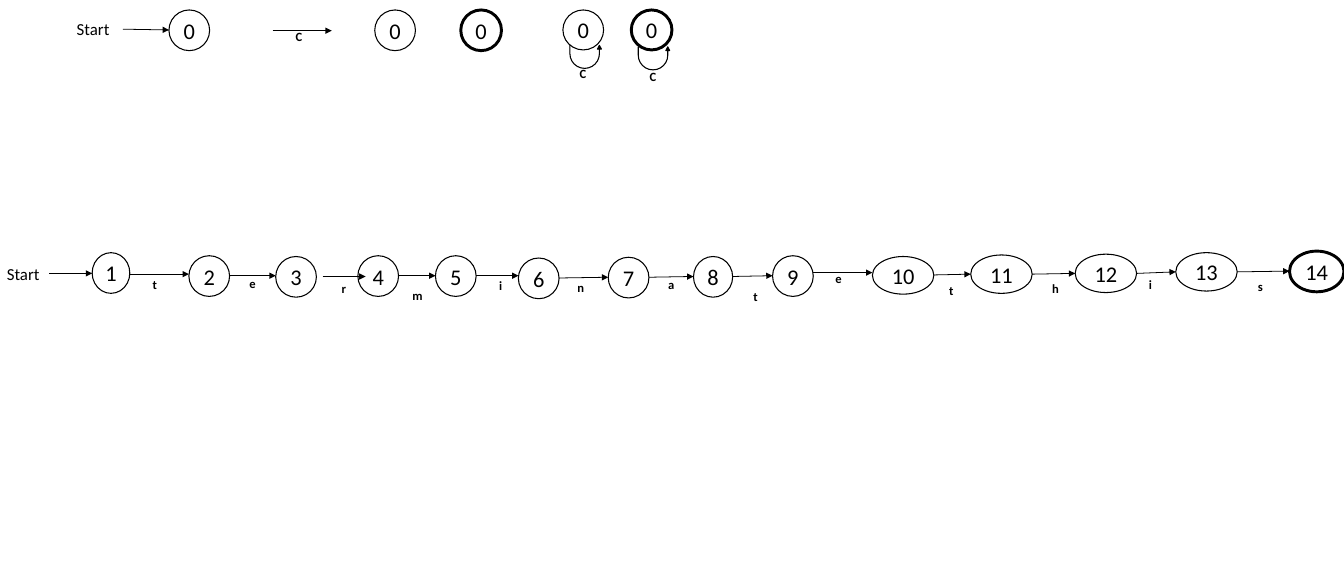
from lxml.etree import SubElement
from pptx import Presentation
from pptx.dml.color import RGBColor
from pptx.enum.shapes import MSO_CONNECTOR as Connector, MSO_SHAPE as Shape
from pptx.enum.text import MSO_ANCHOR as Anchor, PP_ALIGN as Align
from pptx.oxml.ns import qn
from pptx.util import Inches, Pt

COLUMNS, ROWS = 17.5, 7.5
START_ROW = 3.56

# name, left, top, width, height
STATES = [
    ("1", 1.2, 3.29, 0.49, 0.53),
    ("2", 2.46, 3.33, 0.53, 0.53),
    ("3", 3.59, 3.34, 0.53, 0.53),
    ("4", 4.66, 3.33, 0.53, 0.53),
    ("5", 5.67, 3.33, 0.53, 0.53),
    ("6", 6.75, 3.36, 0.53, 0.53),
    ("7", 7.92, 3.35, 0.53, 0.53),
    ("8", 9.03, 3.34, 0.51, 0.53),
    ("9", 10.06, 3.33, 0.53, 0.53),
    ("10", 11.36, 3.34, 0.8, 0.49),
    ("11", 12.64, 3.32, 0.8, 0.5),
    ("12", 14, 3.31, 0.8, 0.5),
    ("13", 15.31, 3.29, 0.8, 0.5),
    ("14", 16.79, 3.27, 0.71, 0.53),
]

# letter, label left, label top, row where the arrow begins, row where it ends
TRANSITIONS = [
    ("t", 1.89, 3.56, 3.57, 3.57),
    ("e", 3.15, 3.54, 3.59, 3.59),
    ("r", 4.35, 3.61, 3.6, 3.6),
    ("m", 5.27, 3.7, 3.59, 3.59),
    ("i", 6.4, 3.57, 3.59, 3.59),
    ("n", 7.42, 3.59, 3.62, 3.61),
    ("a", 8.6, 3.56, 3.61, 3.6),
    ("t", 9.71, 3.71, 3.6, 3.59),
    ("e", 10.78, 3.48, 3.55, 3.55),
    ("t", 12.26, 3.64, 3.58, 3.57),
    ("h", 13.6, 3.61, 3.57, 3.56),
    ("i", 14.86, 3.56, 3.56, 3.54),
    ("s", 16.28, 3.58, 3.54, 3.53),
]
# The arrow into state 4 is shifted to the right
SHIFTED_ARROWS = {"r": (4.2, 4.76)}


def color(hex_value):
    return RGBColor.from_string(hex_value)


class AutomatonSlide:
    """Draws states and transitions on a grid of columns and rows."""

    INK = "000000"
    FONT = "Calibri"
    STATE_TEXT = {"size": Pt(21), "bold": False}
    START_TEXT = {"size": Pt(15.8), "bold": False}
    LETTER_TEXT = {"size": Pt(11.8), "bold": True}
    NO_MARGINS = dict.fromkeys(
        ("margin_left", "margin_right", "margin_top", "margin_bottom"), 0)

    def __init__(self, presentation):
        self.column = presentation.slide_width / COLUMNS
        self.row = presentation.slide_height / ROWS
        self.slide = presentation.slides.add_slide(presentation.slide_layouts[6])
        self.shapes = self.slide.shapes

    def place(self, across, down):
        return round(across * self.column), round(down * self.row)

    def add_text(self, shape, text, text_format, align=Align.LEFT, **frame_format):
        frame = shape.text_frame
        for name, value in {"word_wrap": True, **frame_format}.items():
            setattr(frame, name, value)
        paragraph = frame.paragraphs[0]
        paragraph.alignment = align
        run = paragraph.add_run()
        run.text = text
        for name, value in {"name": self.FONT, **text_format}.items():
            setattr(run.font, name, value)
        run.font.color.rgb = color(self.INK)

    def outline(self, shape, weight):
        shape.line.color.rgb = color(self.INK)
        shape.line.width = Pt(weight)

    def state(self, name, left, top, width=0.53, height=0.53, final=False):
        circle = self.shapes.add_shape(
            Shape.OVAL, *self.place(left, top), *self.place(width, height))
        circle.shadow.inherit = False
        circle.fill.background()
        self.outline(circle, 2.75 if final else 1)
        self.add_text(circle, name, self.STATE_TEXT, Align.CENTER,
                      vertical_anchor=Anchor.MIDDLE, **self.NO_MARGINS)

    def label(self, text, left, top, width, height, text_format):
        box = self.shapes.add_textbox(
            *self.place(left, top), *self.place(width, height))
        self.add_text(box, text, text_format)

    def letter(self, text, left, top):
        self.label(text, left, top, 0.22, 0.3, self.LETTER_TEXT)

    def start(self, left, top, width):
        self.label("Start", left, top, width, 0.37, self.START_TEXT)

    def arrow(self, begin, end):
        line = self.shapes.add_connector(
            Connector.STRAIGHT, *self.place(*begin), *self.place(*end))
        self.outline(line, 0.75)
        properties = line._element.spPr
        SubElement(properties.find(qn("a:ln")), qn("a:tailEnd"), type="triangle")
        SubElement(properties, qn("a:effectLst"))

    def loop(self, left, top):
        loop = self.shapes.add_shape(
            Shape.U_TURN_ARROW, *self.place(left, top), *self.place(0.41, 0.3))
        loop.shadow.inherit = False
        for index, value in enumerate((0, 0.085, 0.164, 0.717, 1)):
            loop.adjustments[index] = value
        loop.rotation = 180
        loop._element.spPr.find(qn("a:xfrm")).set("flipH", "1")
        loop.fill.solid()
        loop.fill.fore_color.rgb = color(self.INK)
        self.outline(loop, 1)


def draw_legend(automaton):
    automaton.start(0.9, 0.2, 0.7)
    automaton.arrow((1.6, 0.38), (2.2, 0.39))
    automaton.state("0", 2.2, 0.13)
    automaton.arrow((3.55, 0.4), (4.32, 0.4))
    automaton.letter("C", 3.75, 0.33)
    automaton.state("0", 4.88, 0.13)
    automaton.state("0", 6, 0.13, final=True)
    for left, loop_top, letter_left, letter_top, final in (
            (7.33, 0.59, 7.45, 0.81, False), (8.22, 0.61, 8.36, 0.85, True)):
        automaton.state("0", left, 0.13, height=0.52, final=final)
        automaton.loop(left + 0.09, loop_top)
        automaton.letter("C", letter_left, letter_top)


def draw_word(automaton):
    automaton.start(-0.01, 3.38, 0.66)
    automaton.arrow((0.64, START_ROW), (STATES[0][1], START_ROW))
    for state in STATES:
        automaton.state(*state, final=state is STATES[-1])
    for source, target, transition in zip(STATES, STATES[1:], TRANSITIONS):
        letter, left, top, begin_row, end_row = transition
        begin, end = SHIFTED_ARROWS.get(
            letter, (source[1] + source[3], target[1]))
        automaton.arrow((begin, begin_row), (end, end_row))
        automaton.letter(letter, left, top)


def main():
    presentation = Presentation()
    presentation.slide_width = Inches(COLUMNS)
    presentation.slide_height = Inches(ROWS)
    automaton = AutomatonSlide(presentation)
    draw_legend(automaton)
    draw_word(automaton)
    presentation.save("out.pptx")


if __name__ == "__main__":
    main()
